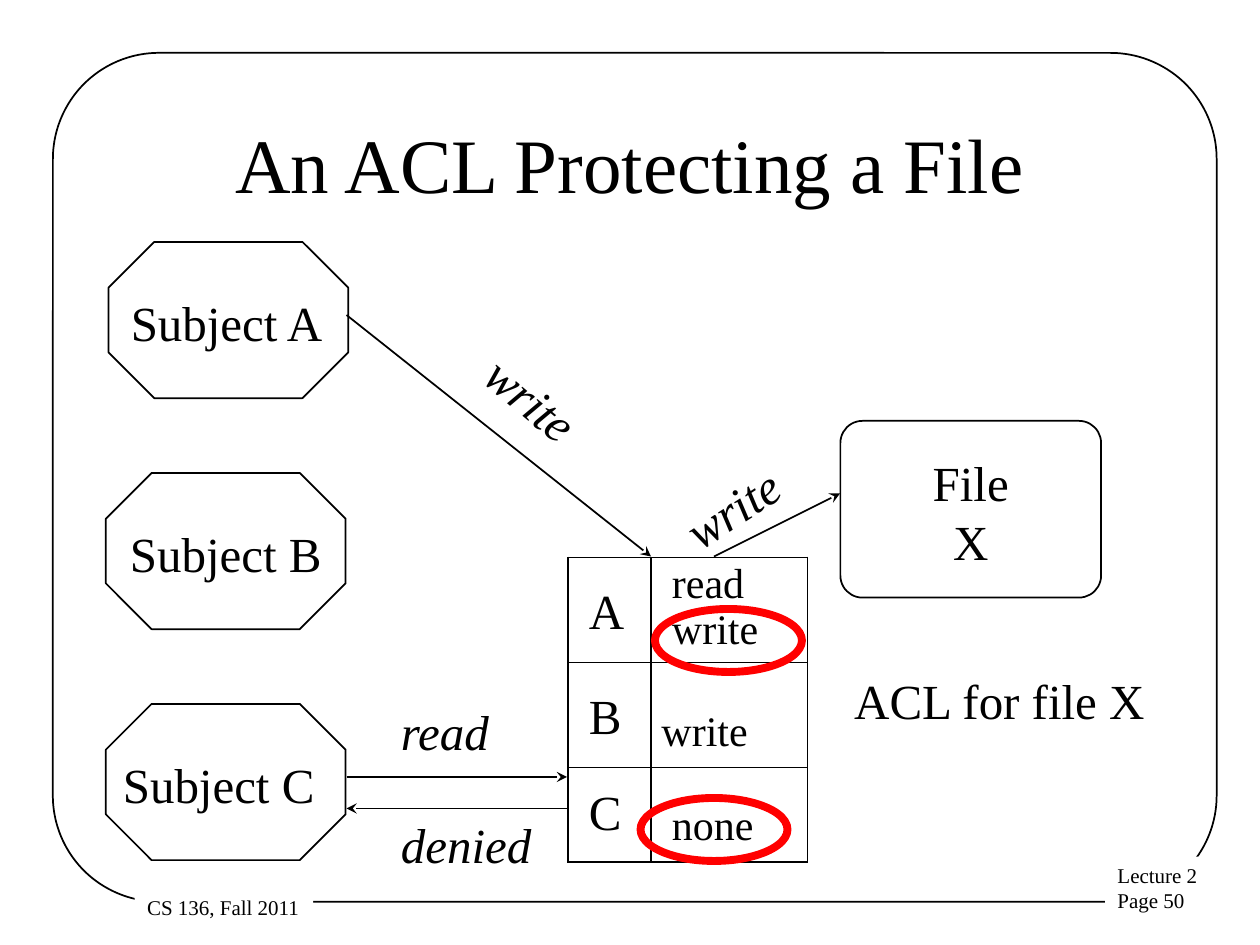
from lxml.etree import SubElement
from pptx import Presentation
from pptx.dml.color import RGBColor
from pptx.enum.shapes import MSO_CONNECTOR, MSO_SHAPE
from pptx.enum.text import MSO_ANCHOR, PP_ALIGN
from pptx.oxml.ns import qn
from pptx.util import Pt

COLORS = {"ink": "000000", "paper": "FFFFFF", "highlight": "FF0000"}
FONT = "Times New Roman"


def color(name):
    return RGBColor.from_string(COLORS[name])


def write_lines(text_frame, lines, size, italic=False, align=PP_ALIGN.LEFT):
    for index, line in enumerate(lines):
        paragraph = text_frame.paragraphs[0] if index == 0 else text_frame.add_paragraph()
        paragraph.alignment = align
        run = paragraph.add_run()
        run.text = line
        run.font.name = FONT
        run.font.size = Pt(size)
        run.font.italic = italic
        run.font.color.rgb = color("ink")


def add_title(slide, text):
    title = slide.shapes.title
    title.left, title.top, title.width, title.height = Pt(54), Pt(48), Pt(612), Pt(90)
    title.text_frame.vertical_anchor = MSO_ANCHOR.MIDDLE
    write_lines(title.text_frame, [text], 44, align=PP_ALIGN.CENTER)


def add_outline(slide, kind, left, top, width, height, line="ink", weight=1, adjustment=None):
    shape = slide.shapes.add_shape(kind, Pt(left), Pt(top), Pt(width), Pt(height))
    shape.shadow.inherit = False
    shape.fill.background()
    shape.line.color.rgb = color(line)
    shape.line.width = Pt(weight)
    if adjustment is not None:
        shape.adjustments[0] = adjustment
    return shape


def add_node(slide, kind, left, top, width, height, lines, adjustment, right_inset=0):
    shape = add_outline(slide, kind, left, top, width, height, adjustment=adjustment)
    text_frame = shape.text_frame
    text_frame.word_wrap = False
    text_frame.vertical_anchor = MSO_ANCHOR.MIDDLE
    text_frame.margin_left = text_frame.margin_bottom = 0
    text_frame.margin_right = Pt(right_inset)
    text_frame.margin_top = Pt(2)
    write_lines(text_frame, lines, 28, align=PP_ALIGN.CENTER)


def add_label(slide, left, top, width, height, lines, size=28, italic=False, rotation=0):
    box = slide.shapes.add_textbox(Pt(left), Pt(top), Pt(width), Pt(height))
    box.rotation = rotation
    box.text_frame.word_wrap = False
    write_lines(box.text_frame, lines, size, italic)
    return box


def add_footer(slide, left, top, width, height, lines):
    box = add_label(slide, left, top, width, height, lines, size=12)
    box.fill.solid()
    box.fill.fore_color.rgb = color("paper")


def add_arrow(slide, start_x, start_y, end_x, end_y):
    arrow = slide.shapes.add_connector(
        MSO_CONNECTOR.STRAIGHT, Pt(start_x), Pt(start_y), Pt(end_x), Pt(end_y))
    arrow.line.color.rgb = color("ink")
    arrow.line.width = Pt(1)
    SubElement(arrow.line._get_or_add_ln(), qn("a:tailEnd"), type="stealth")
    SubElement(arrow._element.spPr, qn("a:effectLst"))


def add_borders(cell):
    properties = cell._tc.get_or_add_tcPr()
    for index, side in enumerate(("lnL", "lnR", "lnT", "lnB")):
        border = properties.makeelement(qn(f"a:{side}"), {"w": str(Pt(1))})
        fill = SubElement(border, qn("a:solidFill"))
        SubElement(fill, qn("a:srgbClr"), val=COLORS["ink"])
        properties.insert(index, border)


def fill_cell(cell, lines, size, left, top):
    cell.margin_left, cell.margin_top = Pt(left), Pt(top)
    cell.margin_right = cell.margin_bottom = 0
    cell.vertical_anchor = MSO_ANCHOR.TOP
    cell.fill.background()
    add_borders(cell)
    write_lines(cell.text_frame, lines, size)


def add_access_list(slide):
    entries = [
        (60, "A", 16.5, ["read", "write"], 12, 2),
        (60, "B", 16.5, ["write"], 6, 26.5),
        (54, "C", 11, ["none"], 12, 20.5),
    ]
    frame = slide.shapes.add_table(3, 2, Pt(324.5), Pt(318.5), Pt(137), Pt(174))
    table = frame.table
    table.first_row = table.horz_banding = False
    table.columns[0].width = Pt(47.5)
    table.columns[1].width = Pt(89.5)
    for index, (height, subject, subject_top, rights, left, top) in enumerate(entries):
        table.rows[index].height = Pt(height)
        fill_cell(table.cell(index, 0), [subject], 28, 12, subject_top)
        fill_cell(table.cell(index, 1), rights, 24, left, top)


def main():
    presentation = Presentation()
    presentation.slide_width, presentation.slide_height = Pt(720), Pt(540)
    slide = presentation.slides.add_slide(presentation.slide_layouts[5])

    add_outline(slide, MSO_SHAPE.ROUNDED_RECTANGLE, 30.25, 30.25, 665, 485, adjustment=0.125)
    add_footer(slide, 631.5, 489.5, 91.5, 36, ["Lecture 2", "Page 50"])
    add_footer(slide, 77, 507.5, 102, 21.5, ["CS 136, Fall 2011"])
    add_title(slide, "An ACL Protecting a File")

    subjects = [("A", 62, 2), ("B", 60.5, 0), ("C", 60.5, 8)]
    for index, (name, left, right_inset) in enumerate(subjects):
        add_node(slide, MSO_SHAPE.OCTAGON, left, 138.25 + 132 * index, 137, 89.25,
                 [f"Subject {name}"], 0.293, right_inset)
    add_node(slide, MSO_SHAPE.ROUNDED_RECTANGLE, 480.25, 240.5, 149, 101, ["File", "X"], 0.125)

    add_access_list(slide)
    add_label(slide, 481, 379.5, 181.5, 41, ["ACL for file X"])

    for points in [(198, 180, 372, 318), (408, 318, 480, 282),
                   (198, 444, 324, 444), (324, 462, 198, 462)]:
        add_arrow(slide, *points)
    for text, left, top, width, rotation in [
            ("write", 268, 207.5, 72, 40), ("write", 382.5, 269.5, 72, 327),
            ("read", 222, 397.5, 65.5, 0), ("denied", 222, 462, 89.5, 0)]:
        add_label(slide, left, top, width, 41, [text], italic=True, rotation=rotation)

    for left, top in [(374.25, 348), (366, 456)]:
        add_outline(slide, MSO_SHAPE.OVAL, left, top, 84, 36, "highlight", 4.5)

    presentation.save("out.pptx")


if __name__ == "__main__":
    main()
